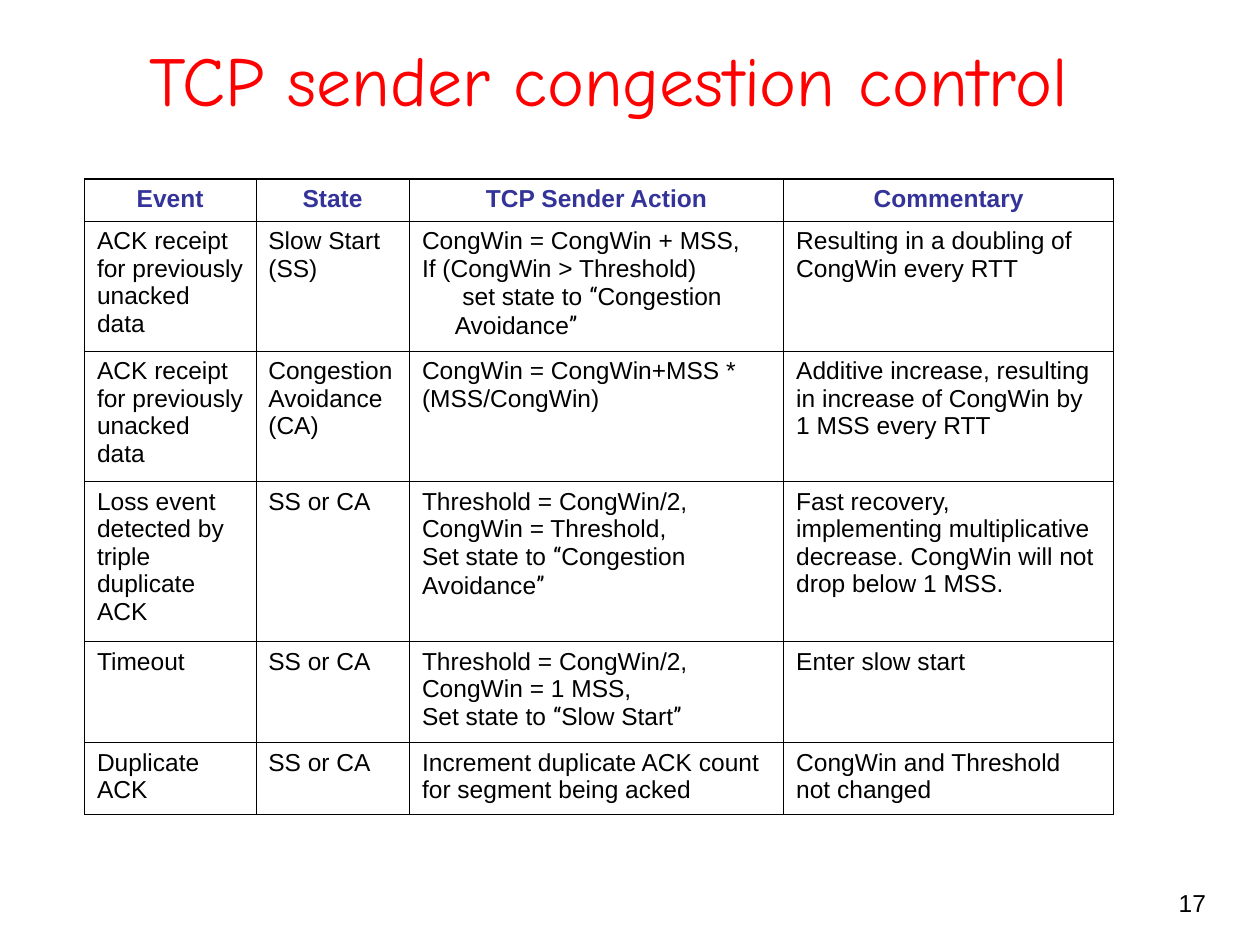
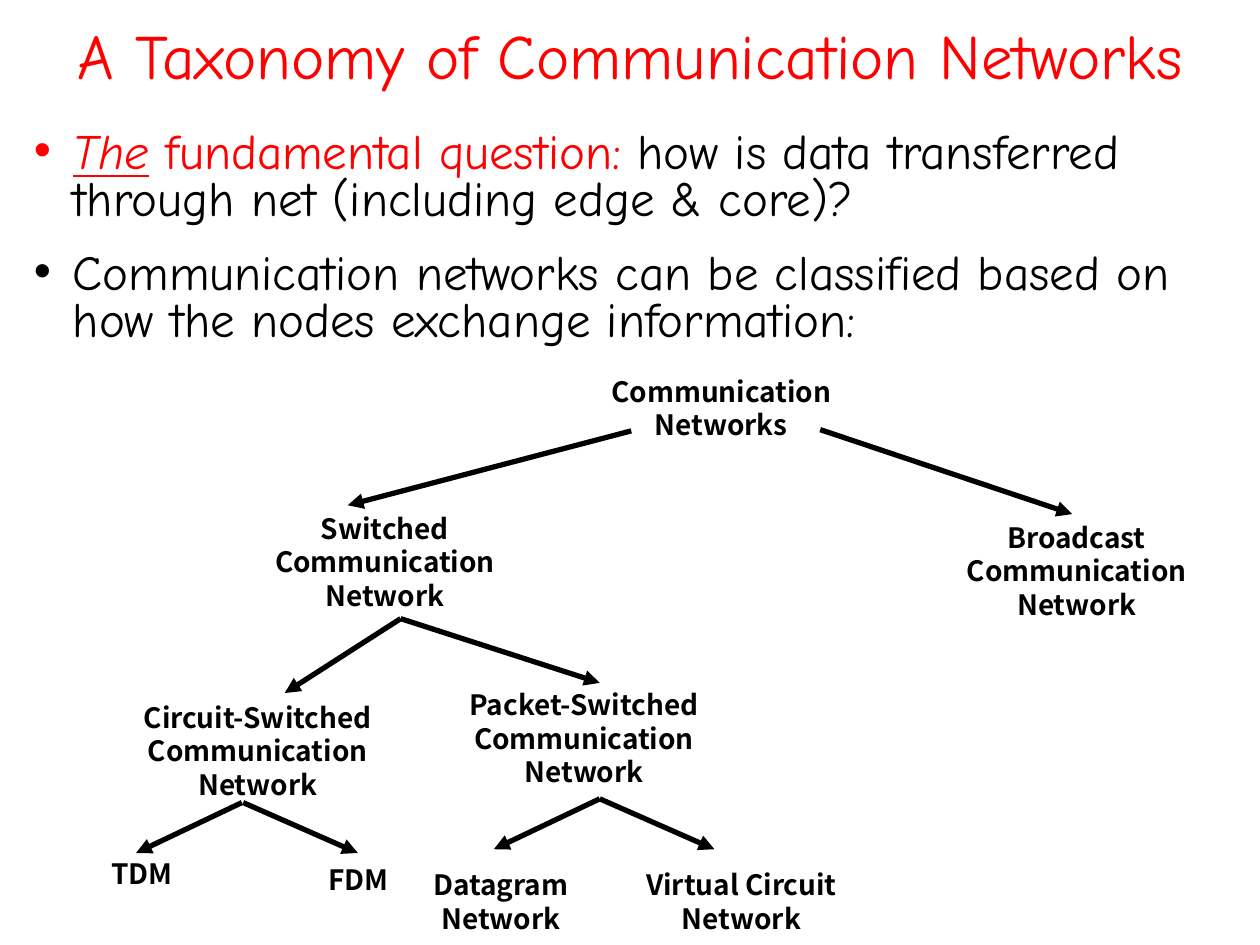
from dataclasses import dataclass

import pptx
import pptx.dml.color
import pptx.enum.shapes
import pptx.enum.text
import pptx.oxml
import pptx.oxml.ns
import pptx.util
from pptx.util import Inches

# Shared look
BLACK, RED, NAVY, WHITE = "000000", "FF0000", "333399", "FFFFFF"
TITLE_FONT, TABLE_FONT = "Comic Neue", "Arial"
QUOTE_FONT, NODE_FONT = "Roboto Condensed", "Noto Sans CJK TC"
ALIGN = pptx.enum.text.PP_ALIGN
ANCHOR = pptx.enum.text.MSO_ANCHOR


@dataclass(frozen=True)
class Span:
    text: str
    color: str = BLACK
    italic: bool = False
    underline: bool = False


@dataclass(frozen=True)
class Node:
    text: str
    left: float
    top: float
    height: float
    width: float = 2.25


@dataclass(frozen=True)
class Arrow:
    start: tuple[float, float]
    end: tuple[float, float]


COLUMN_WIDTHS = (1.36, 1.22, 2.97, 2.62)
ROW_HEIGHTS = (0.33, 1.03, 1.03, 1.27, 0.8, 0.57)
HANGING_LINE = "set state to “Congestion Avoidance”"
NEW_DATA_ACK = "ACK receipt for previously unacked data"
EITHER_STATE = "SS or CA"
ROWS = (
    ("Event", "State", "TCP Sender Action", "Commentary"),
    (NEW_DATA_ACK, "Slow Start (SS)",
     f"CongWin = CongWin + MSS,\nIf (CongWin > Threshold)\n{HANGING_LINE}",
     "Resulting in a doubling of CongWin every RTT"),
    (NEW_DATA_ACK, "Congestion\nAvoidance (CA)",
     "CongWin = CongWin+MSS * (MSS/CongWin)",
     "Additive increase, resulting in increase of CongWin by 1 MSS every RTT"),
    ("Loss event detected by triple duplicate ACK", EITHER_STATE,
     "Threshold = CongWin/2,\nCongWin = Threshold,\n"
     "Set state to “Congestion Avoidance”",
     "Fast recovery, implementing multiplicative decrease. "
     "CongWin will not drop below 1 MSS."),
    ("Timeout", EITHER_STATE,
     "Threshold = CongWin/2,\nCongWin = 1 MSS,\nSet state to “Slow Start”",
     "Enter slow start"),
    ("Duplicate ACK", EITHER_STATE,
     "Increment duplicate ACK count for segment being acked",
     "CongWin and Threshold not changed"),
)

BULLETS = (
    (Span("The", RED, italic=True, underline=True),
     Span(" fundamental question:", RED),
     Span(" how is data transferred through net (including edge & core)?")),
    (Span("Communication networks can be classified based on "
          "how the nodes exchange information:"),),
)

NODES = (
    Node("Communication\nNetworks", 4.6, 2.92, 0.63),
    Node("Switched\nCommunication\nNetwork", 1.93, 4.01, 0.9),
    Node("Broadcast\nCommunication\nNetwork", 7.42, 4.08, 0.9),
    Node("Circuit-Switched\nCommunication\nNetwork", 0.92, 5.51, 0.9),
    Node("Packet-Switched\nCommunication\nNetwork", 3.51, 5.41, 0.9),
    Node("Datagram\nNetwork", 2.85, 6.84, 0.63),
    Node("Virtual Circuit\nNetwork", 4.76, 6.84, 0.63),
    Node("TDM", 0, 6.75, 0.37),
    Node("FDM", 1.92, 6.8, 0.37, width=1.85),
)

ARROWS = (
    Arrow((5.01, 3.42), (2.76, 4.01)),
    Arrow((6.51, 3.41), (8.51, 4.08)),
    Arrow((3.18, 4.91), (2.26, 5.5)),
    Arrow((3.18, 4.91), (4.76, 5.42)),
    Arrow((4.76, 6.34), (3.92, 6.74)),
    Arrow((4.76, 6.34), (5.67, 6.74)),
    Arrow((1.92, 6.37), (1.08, 6.77)),
    Arrow((1.93, 6.37), (2.84, 6.77)),
)


def rgb(color: str) -> pptx.dml.color.RGBColor:
    return pptx.dml.color.RGBColor.from_string(color)


def add_xml(parent, tag: str, **attributes):
    """Append a drawing element with its attributes."""
    element = pptx.oxml.parse_xml(f"<a:{tag} {pptx.oxml.ns.nsdecls('a')}/>")
    for name, value in attributes.items():
        element.set(name, str(value))
    parent.append(element)
    return element


def add_text(para, text: str, *, size: float, font: str, color: str = BLACK,
             bold: bool = False, italic: bool = False,
             underline: bool = False) -> None:
    """Add a formatted span; each newline becomes a line break."""
    for index, line in enumerate(text.split("\n")):
        if index:
            para.add_line_break()
        span = para.add_run()
        span.text = line
        span.font.size = pptx.util.Pt(size)
        span.font.name = font
        span.font.color.rgb = rgb(color)
        span.font.bold = bold
        span.font.italic = italic
        span.font.underline = underline


def add_box(page, left: float, top: float, width: float, height: float,
            align=ALIGN.LEFT, anchor=ANCHOR.TOP):
    """Add a wrapping text box and return its frame."""
    box = page.shapes.add_textbox(
        Inches(left), Inches(top), Inches(width), Inches(height))
    frame = box.text_frame
    frame.word_wrap = True
    frame.vertical_anchor = anchor
    frame.paragraphs[0].alignment = align
    return frame


def add_title(page, text: str, size: float, place: tuple, anchor) -> None:
    frame = add_box(page, *place, align=ALIGN.CENTER, anchor=anchor)
    add_text(frame.paragraphs[0], text, size=size, font=TITLE_FONT, color=RED)


def set_borders(cell, first: bool, last: bool) -> None:
    widths = {"lnL": 0.34, "lnR": 0.34,
              "lnT": 0.96 if first else 0.45, "lnB": 0.96 if last else 0.45}
    properties = cell._tc.get_or_add_tcPr()
    for tag, width in widths.items():
        line = add_xml(properties, tag, w=pptx.util.Pt(width))
        add_xml(add_xml(line, "solidFill"), "srgbClr", val=BLACK)


def fill_cell(cell, text: str, header: bool) -> None:
    frame = cell.text_frame
    for index, line in enumerate(text.split("\n")):
        para = frame.add_paragraph() if index else frame.paragraphs[0]
        para.alignment = ALIGN.CENTER if header else ALIGN.LEFT
        if line == HANGING_LINE:
            properties = para._p.get_or_add_pPr()
            properties.set("marL", str(Inches(0.26)))
            properties.set("indent", str(Inches(0.06)))
        # Curly quotes have a font of their own
        for part in line.replace("“", "|“|").replace("”", "|”|").split("|"):
            if part:
                add_text(para, part, size=14, bold=header,
                         font=QUOTE_FONT if part in "“”" else TABLE_FONT,
                         color=NAVY if header else BLACK)


def add_action_table(page) -> None:
    table = page.shapes.add_table(
        len(ROWS), len(COLUMN_WIDTHS), Inches(0.67), Inches(1.42),
        Inches(sum(COLUMN_WIDTHS)), Inches(sum(ROW_HEIGHTS))).table
    table.first_row = table.horz_banding = False
    for column, width in zip(table.columns, COLUMN_WIDTHS):
        column.width = Inches(width)
    for index, (height, texts) in enumerate(zip(ROW_HEIGHTS, ROWS)):
        table.rows[index].height = Inches(height)
        for cell, text in zip(table.rows[index].cells, texts):
            fill_cell(cell, text, header=index == 0)
            set_borders(cell, index == 0, index == len(ROWS) - 1)
            cell.fill.solid()
            cell.fill.fore_color.rgb = rgb(WHITE)


def add_bullets(page) -> None:
    frame = add_box(page, 0.17, 1, 9.67, 6.08)
    for index, spans in enumerate(BULLETS):
        para = frame.add_paragraph() if index else frame.paragraphs[0]
        para.line_spacing = 0.8
        if index:
            para.space_before = pptx.util.Pt(12)
        para.space_after = pptx.util.Pt(3)
        properties = para._p.get_or_add_pPr()
        properties.set("marL", str(Inches(0.31)))
        properties.set("indent", str(Inches(-0.31)))
        add_xml(add_xml(properties, "buClr"), "srgbClr", val=spans[0].color)
        add_xml(properties, "buFont", typeface="Arial")
        add_xml(properties, "buChar", char="•")
        for span in spans:
            add_text(para, span.text, size=28, font=TITLE_FONT,
                     color=span.color, italic=span.italic,
                     underline=span.underline)


def add_node(page, node: Node) -> None:
    frame = add_box(page, node.left, node.top, node.width, node.height,
                    align=ALIGN.CENTER)
    add_text(frame.paragraphs[0], node.text, size=16, font=NODE_FONT, bold=True)


def add_arrow(page, arrow: Arrow) -> None:
    points = [Inches(value) for value in (*arrow.start, *arrow.end)]
    connector = page.shapes.add_connector(
        pptx.enum.shapes.MSO_CONNECTOR.STRAIGHT, *points)
    connector.line.width = pptx.util.Pt(3)
    connector.line.color.rgb = rgb(BLACK)
    add_xml(connector.line._get_or_add_ln(), "tailEnd", type="triangle")
    add_xml(connector._element.spPr, "effectLst")


def main() -> None:
    deck = pptx.Presentation()
    deck.slide_width, deck.slide_height = Inches(10), Inches(7.5)
    blank = deck.slide_layouts[6]

    # Congestion control table
    page = deck.slides.add_slide(blank)
    number = add_box(page, 8.93, 7, 0.74, 0.5, align=ALIGN.RIGHT)
    add_text(number.paragraphs[0], "17", size=14, font=TABLE_FONT)
    add_title(page, "TCP sender congestion control", 40,
              (0.58, 0, 8.5, 1.25), ANCHOR.MIDDLE)
    add_action_table(page)

    # Network taxonomy tree
    page = deck.slides.add_slide(blank)
    add_bullets(page)
    add_title(page, "A Taxonomy of Communication Networks", 36,
              (0, 0.08, 10, 1.03), ANCHOR.TOP)
    for node in NODES:
        add_node(page, node)
    for arrow in ARROWS:
        add_arrow(page, arrow)

    deck.save("out.pptx")


if __name__ == "__main__":
    main()
